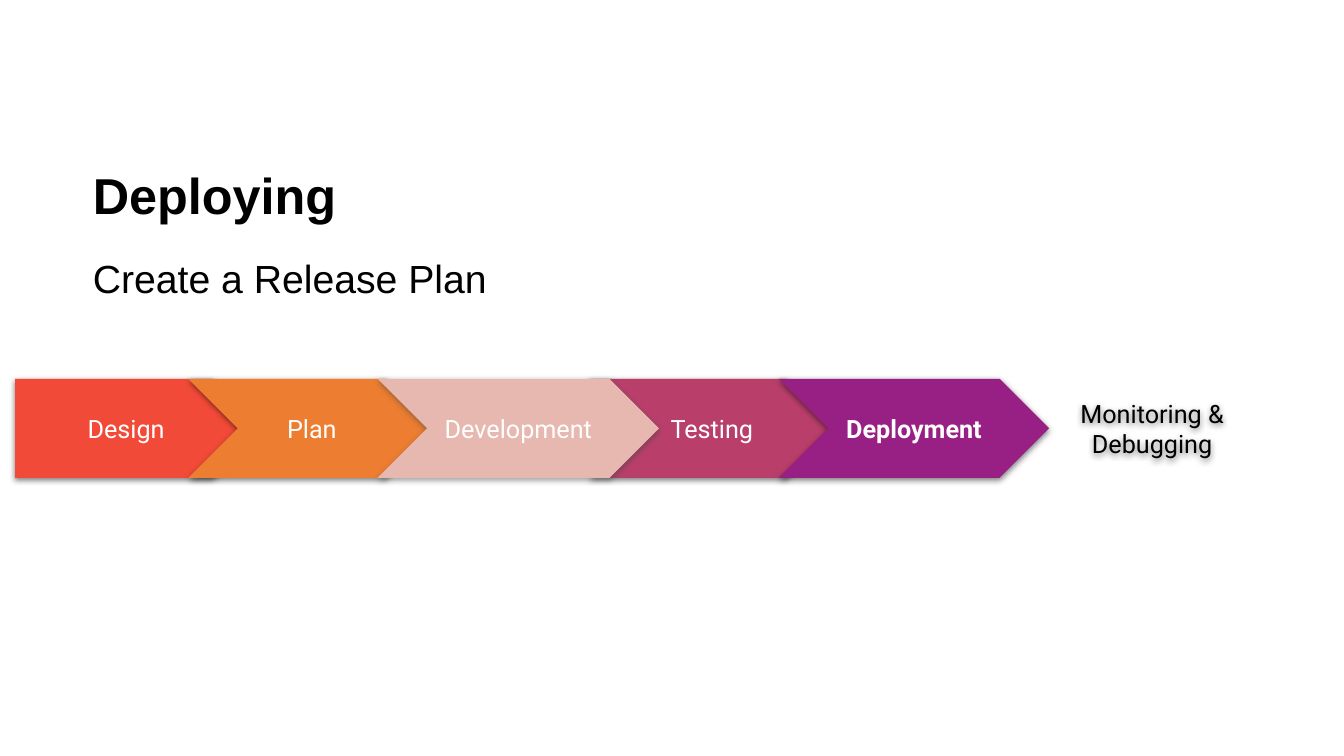
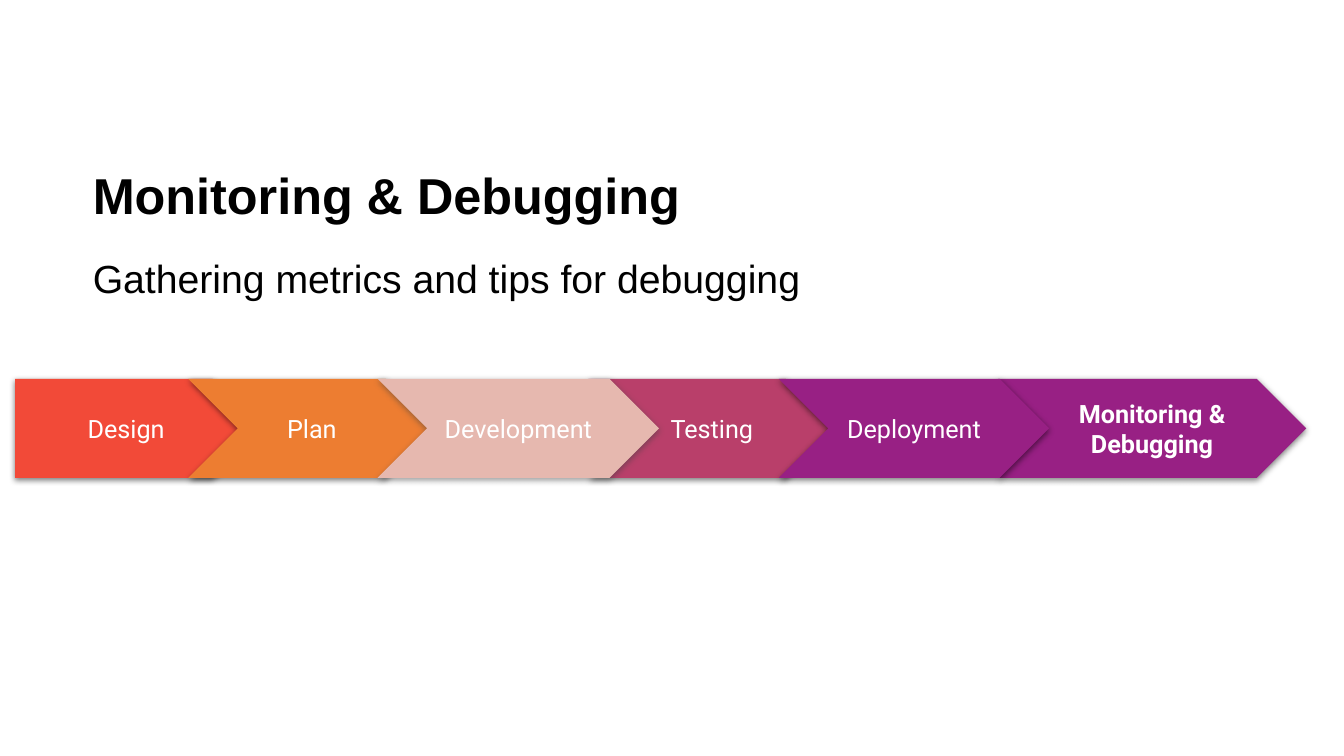
from lxml import etree
from pptx import Presentation
from pptx.dml.color import RGBColor
from pptx.enum.shapes import MSO_SHAPE
from pptx.enum.text import MSO_ANCHOR, PP_ALIGN
from pptx.oxml.ns import qn
from pptx.util import Cm, Pt

PENTAGON, CHEVRON = MSO_SHAPE.PENTAGON, MSO_SHAPE.CHEVRON
TOP, MIDDLE = MSO_ANCHOR.TOP, MSO_ANCHOR.MIDDLE
CENTER = PP_ALIGN.CENTER

BLACK = RGBColor(0x00, 0x00, 0x00)
WHITE = RGBColor(0xFF, 0xFF, 0xFF)
GRAY = RGBColor(0x43, 0x43, 0x43)
RED = RGBColor(0xF2, 0x4A, 0x38)
ORANGE = RGBColor(0xED, 0x7D, 0x31)
PINK = RGBColor(0xE6, 0xB8, 0xAF)
ROSE = RGBColor(0xB9, 0x3F, 0x6A)
PURPLE = RGBColor(0x98, 0x20, 0x84)

HEADING_FONT, STEP_FONT = "Arial", "Roboto"
HEADING_BOX = (2.34, 3.81, 29.21, 13.18)
PROCESS_BOX = (0.38, 9.55, 32.54, 2.49)
TITLE_HEIGHT, SUBTITLE_OFFSET = 2.39, 2.74
STEP_INSET = 0.34

STEPS = [
    ("Design", 0, 6.22, RED, BLACK),
    ("Plan", 4.37, 6.22, ORANGE, BLACK),
    ("Testing", 14.45, 6.22, ROSE, BLACK),
    ("Monitoring & Debugging", 24.77, 7.77, PURPLE, BLACK),
    ("Deployment", 19.25, 6.81, PURPLE, BLACK),
    ("Development", 9.14, 7.09, PINK, GRAY),
]

SLIDES = [
    ("Deploying", "Create a Release Plan", "Deployment", ["Monitoring & Debugging"]),
    ("Monitoring & Debugging", "Gathering metrics and tips for debugging",
     "Monitoring & Debugging", []),
]


def set_text(shape, text, font, size, color, bold, anchor, inset):
    tf = shape.text_frame
    tf.text = text
    tf.word_wrap = True
    tf.vertical_anchor = anchor
    tf.margin_left = tf.margin_right = tf.margin_top = tf.margin_bottom = Cm(inset)
    p = tf.paragraphs[0]
    r = p.runs[0]
    r.font.name = font
    r.font.size = Pt(size)
    r.font.bold = bold
    r.font.color.rgb = color
    return p


def add_shadow(shape, color):
    shape.shadow.inherit = False
    effects = shape._element.spPr.find(qn("a:effectLst"))
    shadow = etree.SubElement(effects, qn("a:outerShdw"), blurRad=str(Pt(4.5)),
                              dist=str(Pt(1.5)), dir="5400000", algn="bl", rotWithShape="0")
    rgb = etree.SubElement(shadow, qn("a:srgbClr"), val=str(color))
    etree.SubElement(rgb, qn("a:alpha"), val="50000")


def add_heading(s, box, title, subtitle):
    left, top, width, height = box
    lines = [
        (subtitle, SUBTITLE_OFFSET, height - SUBTITLE_OFFSET, 28, False, TOP),
        (title, 0, TITLE_HEIGHT, 36, True, MIDDLE),
    ]
    for text, offset, line_height, size, bold, anchor in lines:
        sp = s.shapes.add_textbox(Cm(left), Cm(top + offset), Cm(width), Cm(line_height))
        p = set_text(sp, text, HEADING_FONT, size, BLACK, bold, anchor, 0)
        p.line_spacing = 0.9


def add_process(s, box, current, pending):
    left, top, _, height = box
    for name, offset, width, fill, shadow in STEPS:
        preset = CHEVRON if offset else PENTAGON
        sp = s.shapes.add_shape(preset, Cm(left + offset), Cm(top), Cm(width), Cm(height))
        sp.adjustments[0] = 0.5
        sp.line.fill.background()
        if name in pending:
            sp.fill.background()
        else:
            sp.fill.solid()
            sp.fill.fore_color.rgb = fill
        add_shadow(sp, shadow)
        color = BLACK if name in pending else WHITE
        p = set_text(sp, name, STEP_FONT, 18, color, name == current, MIDDLE, STEP_INSET)
        p.alignment = CENTER


def main():
    prs = Presentation()
    prs.slide_width, prs.slide_height = Cm(33.87), Cm(19.05)
    for title, subtitle, current, pending in SLIDES:
        s = prs.slides.add_slide(prs.slide_layouts[6])
        add_heading(s, HEADING_BOX, title, subtitle)
        add_process(s, PROCESS_BOX, current, pending)
    prs.save("out.pptx")


if __name__ == "__main__":
    main()
